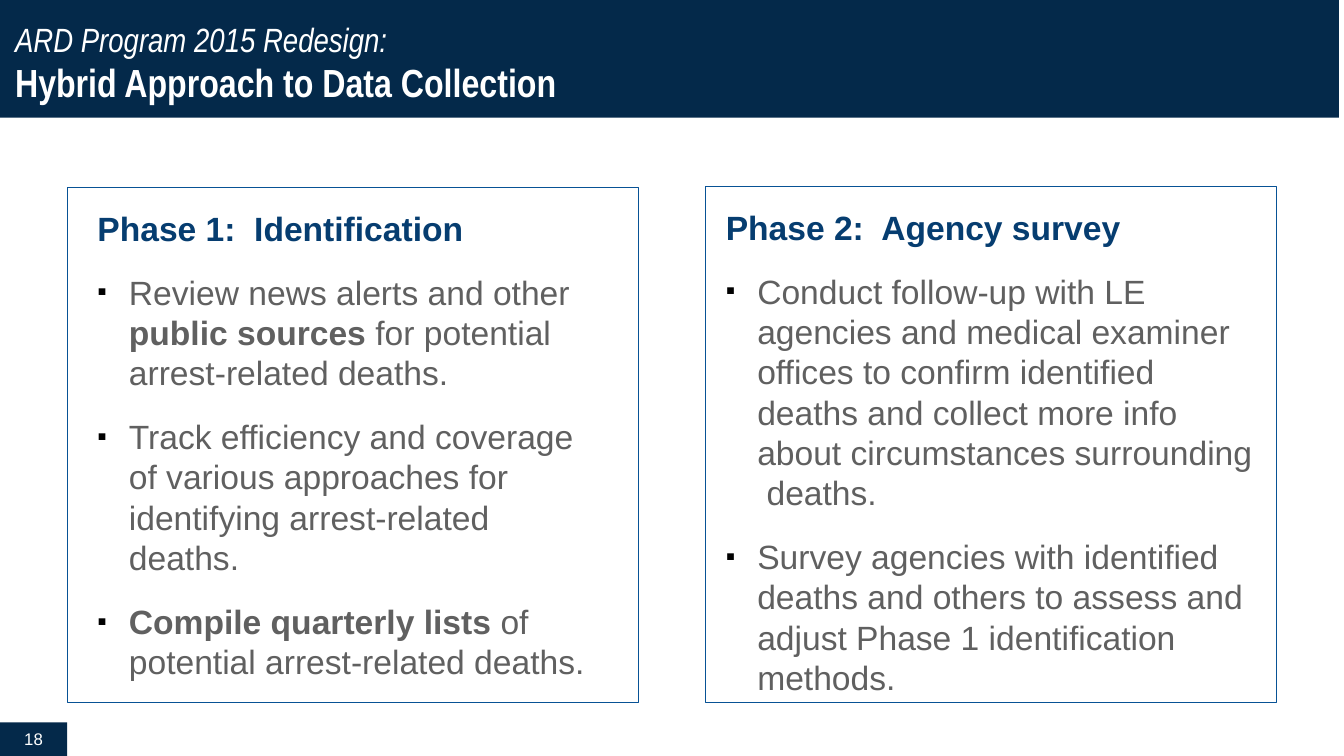
"""Build the slide that sets out the two phases of hybrid data collection."""
from dataclasses import dataclass
from typing import Any

from lxml.etree import SubElement
from pptx import Presentation
from pptx.dml.color import RGBColor as Rgb
from pptx.enum.shapes import MSO_SHAPE as Preset
from pptx.enum.text import MSO_ANCHOR as Anchor, PP_ALIGN as Align
from pptx.oxml.ns import qn
from pptx.util import Pt

COLORS = {"navy": "04294A", "border": "085295", "heading": "063D70",
          "body": "606060", "bullet": "000000", "white": "FFFFFF"}
HEADING = {"name": "Arial", "size": Pt(24), "bold": True, "color": "heading"}
BODY = {"name": "Arial", "size": Pt(24), "bold": False, "color": "body"}
STRONG = BODY | {"bold": True}
PROGRAM = {"name": "Arial Narrow", "size": Pt(24), "italic": True, "color": "white"}
TOPIC = {"name": "Arial Narrow", "size": Pt(28), "bold": True, "color": "white"}
NUMBER = {"name": "Arial", "size": Pt(12), "color": "white"}
BULLET_INDENT = Pt(22.5)


@dataclass(frozen=True)
class Box:
    left: float
    top: float
    width: float
    height: float
    insets: tuple[float, float, float, float]
    fill: str | None = None
    border: str | None = None
    anchor: Any = Anchor.TOP


@dataclass(frozen=True)
class Phase:
    box: Box
    heading: str
    points: tuple[tuple[tuple[str, dict[str, Any]], ...], ...]


BANNER = Box(-3.6, 0, 960, 84, (14.4, 7.2, 14.4, 7.2), fill="navy", anchor=Anchor.MIDDLE)
PAGE_TAB = Box(0, 516, 48, 24, (7.2, 3.6, 7.2, 3.6), fill="navy", anchor=Anchor.MIDDLE)
PHASES = (
    Phase(
        Box(48, 134, 408, 368, (21.6, 14.4, 21.6, 14.4), border="border"),
        "Phase 1:  Identification",
        (
            (("Review news alerts and other ", BODY), ("public sources ", STRONG),
             ("for potential arrest-related deaths.", BODY)),
            (("Track efficiency and coverage of various approaches for "
              "identifying arrest-related deaths.", BODY),),
            (("Compile quarterly lists ", STRONG),
             ("of potential arrest-related deaths.", BODY)),
        ),
    ),
    Phase(
        Box(504, 133.2, 408, 368.6, (14.4, 14.4, 14.4, 7.2), border="border"),
        "Phase 2:  Agency survey",
        (
            (("Conduct follow-up with LE agencies and medical examiner offices to "
              "confirm identified deaths and collect more info about circumstances "
              "surrounding  deaths.", BODY),),
            (("Survey agencies with identified deaths and others to assess and "
              "adjust Phase 1 identification methods.", BODY),),
        ),
    ),
)


def rgb(name: str) -> Rgb:
    return Rgb.from_string(COLORS[name])


def add_box(slide: Any, box: Box) -> Any:
    shape = slide.shapes.add_shape(
        Preset.RECTANGLE, Pt(box.left), Pt(box.top), Pt(box.width), Pt(box.height))
    shape.shadow.inherit = False
    if box.fill:
        shape.fill.solid()
        shape.fill.fore_color.rgb = rgb(box.fill)
    else:
        shape.fill.background()
    if box.border:
        shape.line.color.rgb = rgb(box.border)
        shape.line.width = Pt(0.75)
    else:
        shape.line.fill.background()
    frame = shape.text_frame
    frame.word_wrap = True
    frame.vertical_anchor = box.anchor
    for side, inset in zip(("left", "top", "right", "bottom"), box.insets):
        setattr(frame, f"margin_{side}", Pt(inset))
    frame.paragraphs[0].alignment = Align.LEFT
    return frame


def add_run(paragraph: Any, text: str, style: dict[str, Any]) -> None:
    run = paragraph.add_run()
    run.text = text
    for key, value in style.items():
        if key == "color":
            run.font.color.rgb = rgb(value)
        else:
            setattr(run.font, key, value)


def add_bullet(paragraph: Any) -> None:
    properties = paragraph._p.get_or_add_pPr()
    properties.set("marL", str(BULLET_INDENT))
    properties.set("indent", str(-BULLET_INDENT))
    bullet_color = SubElement(properties, qn("a:buClr"))
    SubElement(bullet_color, qn("a:srgbClr"), val=COLORS["bullet"])
    SubElement(properties, qn("a:buSzPct"), val="80000")
    SubElement(properties, qn("a:buFont"), typeface="Arial")
    SubElement(properties, qn("a:buChar"), char="▪")


def add_phase(slide: Any, phase: Phase) -> None:
    frame = add_box(slide, phase.box)
    heading = frame.paragraphs[0]
    add_run(heading, phase.heading, HEADING)
    for point in phase.points:
        paragraph = frame.add_paragraph()
        add_bullet(paragraph)
        paragraph.alignment = Align.LEFT
        paragraph.space_before = Pt(4.8)
        for text, style in point:
            add_run(paragraph, text, style)
    for paragraph in frame.paragraphs:
        paragraph.space_after = Pt(12)


def add_banner(slide: Any) -> None:
    title = add_box(slide, BANNER).paragraphs[0]
    title.line_spacing = Pt(33)
    add_run(title, "ARD Program 2015 Redesign: ", PROGRAM)
    title.add_line_break()
    add_run(title, "Hybrid Approach to Data Collection", TOPIC)


def add_page_number(slide: Any) -> None:
    number = add_box(slide, PAGE_TAB).paragraphs[0]
    number.alignment = Align.CENTER
    add_run(number, "18", NUMBER)


def main() -> None:
    deck = Presentation()
    deck.slide_width, deck.slide_height = Pt(960), Pt(540)
    slide = deck.slides.add_slide(deck.slide_layouts[6])
    for phase in PHASES:
        add_phase(slide, phase)
    add_banner(slide)
    add_page_number(slide)
    deck.save("out.pptx")


if __name__ == "__main__":
    main()
